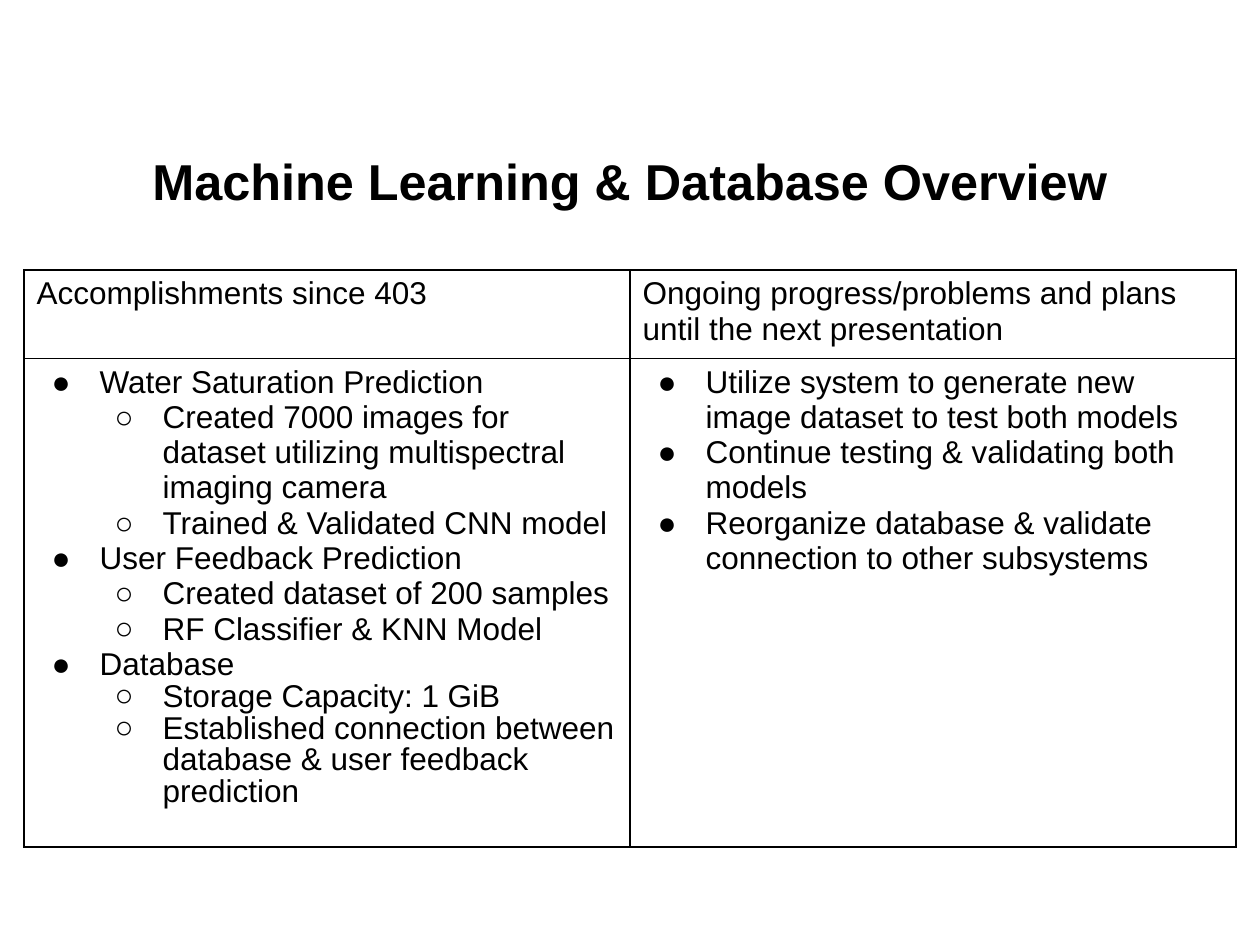
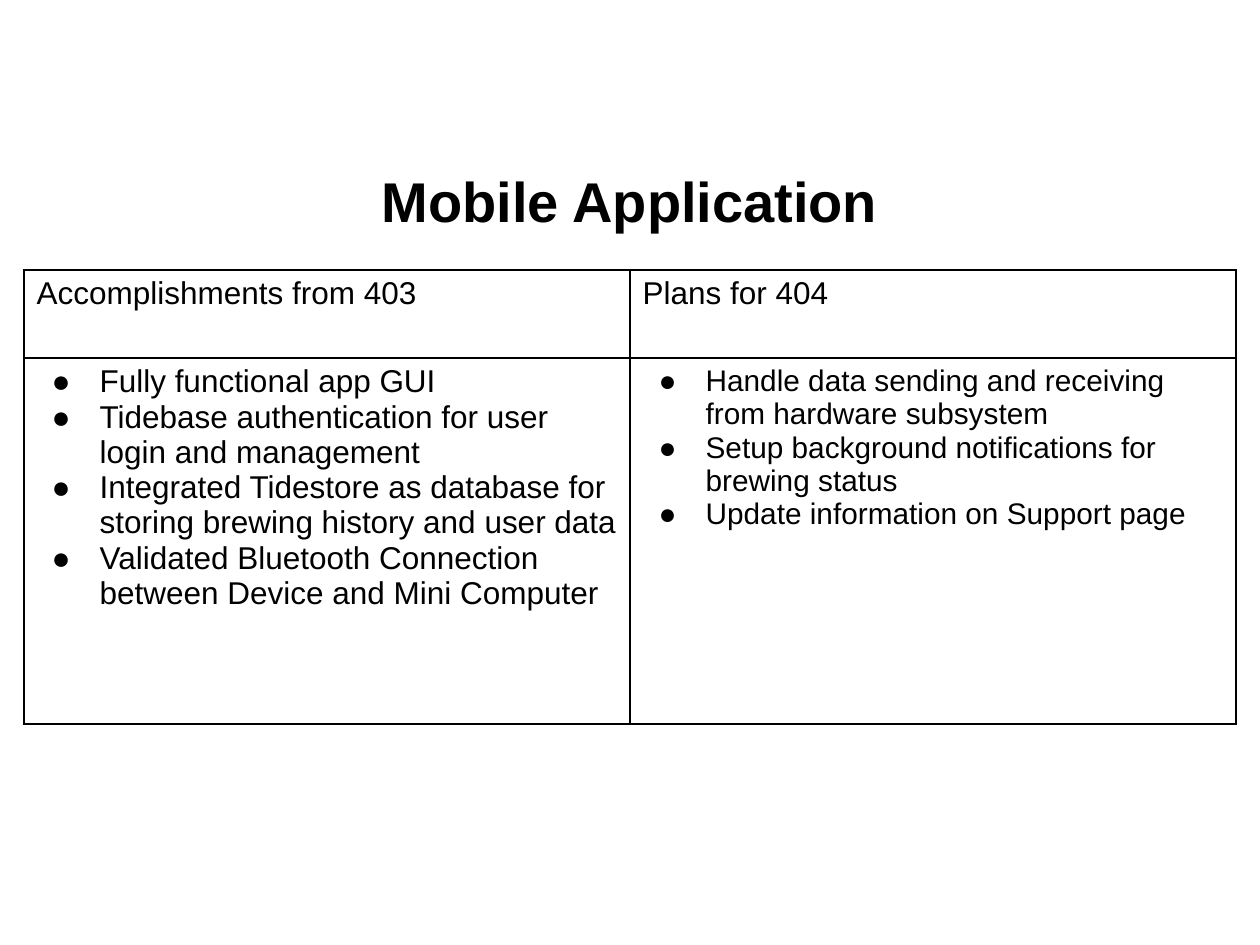
"""Build two status slides, each with a title and a two-column table."""
from lxml.etree import SubElement
from pptx import Presentation
from pptx.dml.color import RGBColor
from pptx.enum.text import MSO_ANCHOR, PP_ALIGN
from pptx.oxml.ns import qn
from pptx.util import Pt

FONT, INK, PAPER = "Arial", "000000", "FFFFFF"
PX = 914400 / 126
TITLE_BOX = (63, 145, 1134, 111)
TABLE_LEFT, TABLE_TOP, COL_W, HEADER_H = 24, 270, 606, 88
LEVEL_INDENT = 63
BULLETS = "●○"

# Each bullet is (level, text, line spacing).
SLIDES = [
    {
        "title": "Machine Learning & Database Overview",
        "title_size": 28.8,
        "title_bottom": 46,
        "body_h": 457,
        "columns": [
            {
                "head": "Accomplishments since 403",
                "size": 18,
                "hang": 48,
                "bullets": [
                    (0, "Water Saturation Prediction", 1.0),
                    (1, "Created 7000 images for dataset utilizing multispectral imaging camera", 1.0),
                    (1, "Trained & Validated CNN model", 1.0),
                    (0, "User Feedback Prediction", 1.0),
                    (1, "Created dataset of 200 samples", 1.0),
                    (1, "RF Classifier & KNN Model", 1.0),
                    (0, "Database", 1.0),
                    (1, "Storage Capacity: 1 GiB", 0.9),
                    (1, "Established connection between database & user feedback prediction", 0.9),
                ],
            },
            {
                "head": "Ongoing progress/problems and plans until the next presentation",
                "size": 18,
                "hang": 48,
                "bullets": [
                    (0, "Utilize system to generate new image dataset to test both models", 1.0),
                    (0, "Continue testing & validating both models", 1.0),
                    (0, "Reorganize database & validate connection to other subsystems", 1.0),
                ],
            },
        ],
    },
    {
        "title": "Mobile Application",
        "title_size": 32,
        "title_bottom": 6,
        "body_h": 366,
        "columns": [
            {
                "head": "Accomplishments from 403",
                "size": 18,
                "hang": 48,
                "bullets": [
                    (0, "Fully functional app GUI", 1.0),
                    (0, "Tidebase authentication for user login and management", 1.0),
                    (0, "Integrated Tidestore as database for storing brewing history and user data", 1.0),
                    (0, "Validated Bluetooth Connection between Device and Mini Computer", 1.0),
                ],
            },
            {
                "head": "Plans for 404",
                "size": 17,
                "hang": 47,
                "bullets": [
                    (0, "Handle data sending and receiving from hardware subsystem", 1.0),
                    (0, "Setup background notifications for brewing status", 1.0),
                    (0, "Update information on Support page", 1.0),
                ],
            },
        ],
    },
]


def px(n):
    return round(n * PX)


def color(value):
    return RGBColor.from_string(value)


def add_run(p, text, size, bold=False):
    r = p.add_run()
    r.text = text
    r.font.name = FONT
    r.font.size = Pt(size)
    r.font.bold = bold
    r.font.color.rgb = color(INK)


def add_bullet(p, level, hang):
    pPr = p._p.get_or_add_pPr()
    pPr.set("marL", str(px(LEVEL_INDENT * (level + 1))))
    pPr.set("indent", str(-px(hang)))
    SubElement(SubElement(pPr, qn("a:buClr")), qn("a:srgbClr"), val=INK)
    SubElement(pPr, qn("a:buFont"), typeface=FONT)
    SubElement(pPr, qn("a:buChar"), char=BULLETS[level])


def style_cell(cell):
    tcPr = cell._tc.get_or_add_tcPr()
    for side in "LRTB":
        ln = SubElement(tcPr, qn(f"a:ln{side}"), w=str(Pt(1)))
        SubElement(SubElement(ln, qn("a:solidFill")), qn("a:srgbClr"), val=INK)
    cell.fill.background()


def add_title(s, text, size, bottom):
    tf = s.shapes.add_textbox(*map(px, TITLE_BOX)).text_frame
    tf.word_wrap = True
    tf.vertical_anchor = MSO_ANCHOR.MIDDLE
    tf.margin_bottom = px(bottom)
    p = tf.paragraphs[0]
    p.alignment = PP_ALIGN.CENTER
    add_run(p, text, size, bold=True)


def fill_bullets(tf, bullets, size, hang):
    for i, (level, text, spacing) in enumerate(bullets):
        p = tf.add_paragraph() if i else tf.paragraphs[0]
        p.level = level
        p.line_spacing = spacing
        add_bullet(p, level, hang)
        add_run(p, text, size)


def add_columns(s, columns, body_h):
    box = (TABLE_LEFT, TABLE_TOP, COL_W * len(columns), HEADER_H + body_h)
    table = s.shapes.add_table(2, len(columns), *map(px, box)).table
    table.first_row = table.horz_banding = False
    for row, height in zip(table.rows, (HEADER_H, body_h)):
        row.height = px(height)
    for i, column in enumerate(columns):
        table.columns[i].width = px(COL_W)
        head, body = table.cell(0, i), table.cell(1, i)
        style_cell(head)
        style_cell(body)
        add_run(head.text_frame.paragraphs[0], column["head"], 18)
        fill_bullets(body.text_frame, column["bullets"], column["size"], column["hang"])


def main():
    prs = Presentation()
    prs.slide_width, prs.slide_height = px(1260), px(945)
    for page in SLIDES:
        s = prs.slides.add_slide(prs.slide_layouts[6])
        s.background.fill.solid()
        s.background.fill.fore_color.rgb = color(PAPER)
        add_title(s, page["title"], page["title_size"], page["title_bottom"])
        add_columns(s, page["columns"], page["body_h"])
    prs.save("out.pptx")


if __name__ == "__main__":
    main()
